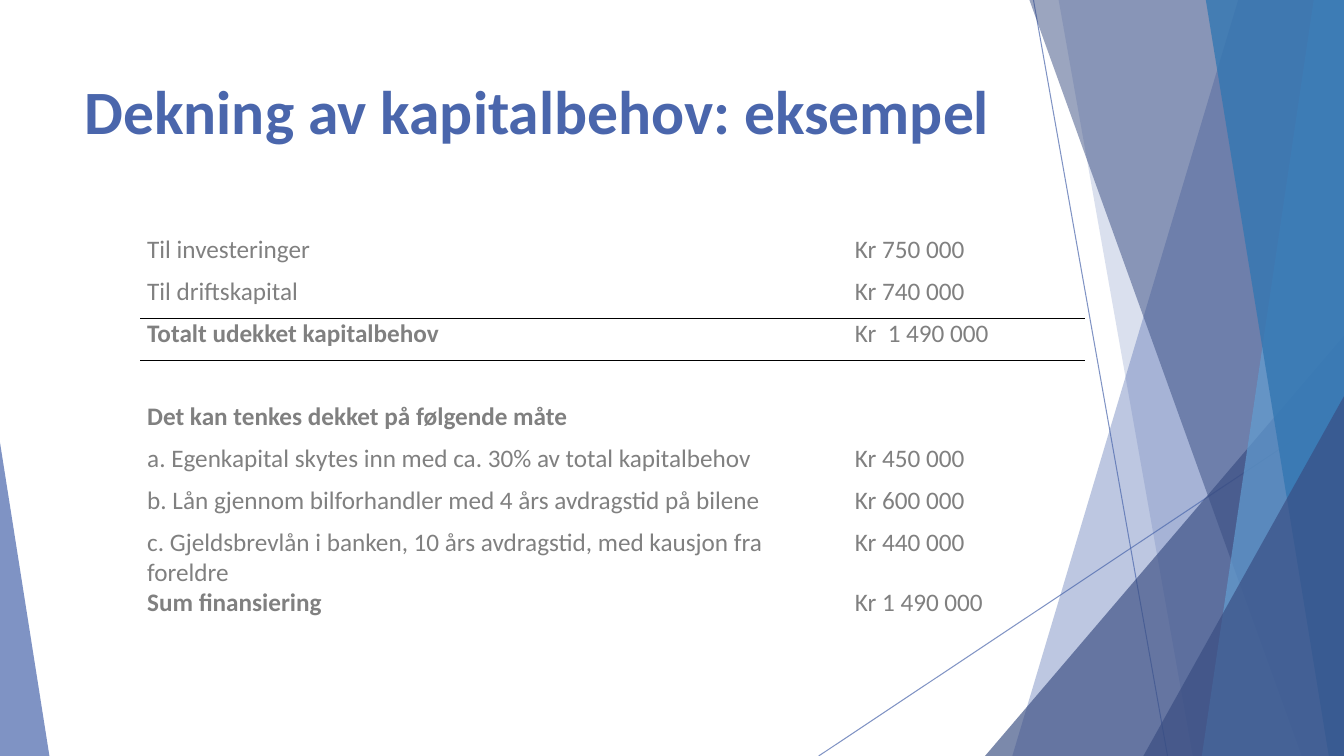
from dataclasses import dataclass

from lxml.etree import SubElement
from pptx import Presentation
from pptx.dml.color import RGBColor
from pptx.enum.shapes import MSO_CONNECTOR, MSO_SHAPE
from pptx.enum.text import MSO_ANCHOR
from pptx.oxml.ns import qn
from pptx.util import Inches, Pt


@dataclass(frozen=True)
class Theme:
    """Colours, font and type sizes of the slide."""
    blue: str = "4A66AC"
    navy: str = "384C81"
    sky: str = "629DD1"
    ocean: str = "3477B2"
    grey: str = "808080"
    rule: str = "000000"
    font: str = "Calibri"
    title_size: int = 44
    body_size: int = 18
    line_width: float = 0.75
    rule_width: int = 1


THEME = Theme()
NO_STYLE = "{2D5ABB26-0587-4C30-8999-92F81FD0307C}"
WIDTH, HEIGHT = 13.33, 7.5
TITLE = "Dekning av kapitalbehov: eksempel"
COLUMNS = (7.02, 2.35)
RULED_ROW = 1
ROWS = [
    ("Til investeringer", "Kr 750 000", False),
    ("Til driftskapital", "Kr 740 000", False),
    ("Totalt udekket kapitalbehov", "Kr  1 490 000", True),
    ("", "", False),
    ("Det kan tenkes dekket på følgende måte", "", True),
    ("a. Egenkapital skytes inn med ca. 30% av total kapitalbehov", "Kr 450 000", False),
    ("b. Lån gjennom bilforhandler med 4 års avdragstid på bilene", "Kr 600 000", False),
    ("c. Gjeldsbrevlån i banken, 10 års avdragstid, med kausjon fra foreldre", "Kr 440 000", False),
    ("Sum finansiering", "Kr 1 490 000", True),
]


def set_all(obj, values):
    """Set every attribute named in a dict."""
    for name, value in values.items():
        setattr(obj, name, value)


def set_alpha(fill, percent):
    """Make a solid fill partly transparent."""
    color = fill._xPr.find(qn("a:solidFill"))[0]
    SubElement(color, qn("a:alpha"), val=str(percent * 1000))


def paint(sp, color, alpha):
    """Give a shape a transparent fill with no outline or shadow."""
    sp.shadow.inherit = False
    sp.line.fill.background()
    sp.fill.solid()
    sp.fill.fore_color.rgb = RGBColor.from_string(color)
    set_alpha(sp.fill, alpha)


def write(p, text, size, color, bold):
    """Add one formatted run to a paragraph."""
    r = p.add_run()
    r.text = text
    set_all(r.font, {"name": THEME.font, "size": Pt(size), "bold": bold})
    r.font.color.rgb = RGBColor.from_string(color)


def add_thin_line(s, x1, y1, x2, y2):
    """Draw a thin transparent line."""
    line = s.shapes.add_connector(MSO_CONNECTOR.STRAIGHT, *map(Inches, (x1, y1, x2, y2)))
    line.line.width = Pt(THEME.line_width)
    line.line.color.rgb = RGBColor.from_string(THEME.blue)
    set_alpha(line.line.fill, 70)
    SubElement(line._element.spPr, qn("a:effectLst"))


def add_band(s, box, top_x, bottom_x, color, alpha):
    """Draw a slanted band that reaches the right edge of the box."""
    left, top, width, height = box
    right, bottom = left + width, top + height
    points = [(right, top), (right, bottom), (left + bottom_x, bottom)]
    fb = s.shapes.build_freeform(Inches(left + top_x), Inches(top), scale=1)
    fb.add_line_segments([(Inches(x), Inches(y)) for x, y in points], close=True)
    paint(fb.convert_to_shape(), color, alpha)


def add_corner(s, box, width, height, apex, color, alpha):
    """Draw a right triangle in a bottom corner, apex 0 for left and 1 for right."""
    left = box[0] + apex * (box[2] - width)
    top = box[1] + box[3] - height
    sp = s.shapes.add_shape(MSO_SHAPE.ISOSCELES_TRIANGLE,
                            *map(Inches, (left, top, width, height)))
    sp.adjustments[0] = apex
    paint(sp, color, alpha)


def add_backdrop(s, box):
    """Draw the slanted facets on both sides of the slide."""
    left, top, width, height = box
    right, bottom = left + width, top + height
    add_thin_line(s, left + 10.25, top, left + 11.58, bottom)
    add_thin_line(s, right, top + 4.03, left + 8.12, bottom)
    add_band(s, box, 12.28, 10.04, THEME.blue, 36)
    add_band(s, box, 10.5, 11.83, THEME.blue, 20)
    add_corner(s, box, 3.56, 4.17, 1, THEME.navy, 66)
    add_band(s, box, 10.21, 12.91, THEME.navy, 50)
    add_band(s, box, 13.03, 11.92, THEME.sky, 70)
    add_band(s, box, 11.96, 13.18, THEME.ocean, 80)
    add_corner(s, box, 1.99, 3.57, 1, THEME.navy, 66)
    add_corner(s, box, 0.49, 3.11, 0, THEME.blue, 70)


def add_title(s, box):
    """Write the slide title."""
    tf = s.shapes.add_textbox(*map(Inches, box)).text_frame
    set_all(tf, {"word_wrap": True, "vertical_anchor": MSO_ANCHOR.TOP})
    write(tf.paragraphs[0], TITLE, THEME.title_size, THEME.blue, True)


def add_border(cell, side):
    """Rule one side of a cell."""
    tcPr = cell._tc.get_or_add_tcPr()
    ln = tcPr.makeelement(qn(f"a:{side}"), {"w": str(Pt(THEME.rule_width))})
    SubElement(SubElement(ln, qn("a:solidFill")), qn("a:srgbClr"), val=THEME.rule)
    tcPr.insert(0, ln)


def add_funding_table(s, box):
    """Fill the table of capital needs and how they are financed."""
    table = s.shapes.add_table(len(ROWS), len(COLUMNS), *map(Inches, box)).table
    set_all(table, {"first_row": False, "horz_banding": False})
    table._tbl.tblPr.find(qn("a:tableStyleId")).text = NO_STYLE
    for col, width in zip(table.columns, COLUMNS):
        col.width = Inches(width)
    margins = {"margin_left": Inches(0.07), "margin_right": Inches(0.07),
               "margin_top": 0, "margin_bottom": 0}
    for i, (label, amount, bold) in enumerate(ROWS):
        for j, (text, weight) in enumerate(((label, bold), (amount, False))):
            cell = table.cell(i, j)
            set_all(cell, {**margins, "vertical_anchor": MSO_ANCHOR.TOP})
            cell.fill.background()
            if text:
                write(cell.text_frame.paragraphs[0], text, THEME.body_size, THEME.grey, weight)
            if i == RULED_ROW:
                add_border(cell, "lnB")
            elif i == RULED_ROW + 1:
                add_border(cell, "lnT")


def main():
    """Build and save the slide."""
    prs = Presentation()
    set_all(prs, {"slide_width": Inches(WIDTH), "slide_height": Inches(HEIGHT)})
    s = prs.slides.add_slide(prs.slide_layouts[6])
    add_backdrop(s, (0, 0, WIDTH, HEIGHT))
    add_title(s, (0.74, 0.67, 9.4, 1.44))
    add_funding_table(s, (1.39, 2.33, sum(COLUMNS), 3.73))
    prs.save("out.pptx")


if __name__ == "__main__":
    main()
